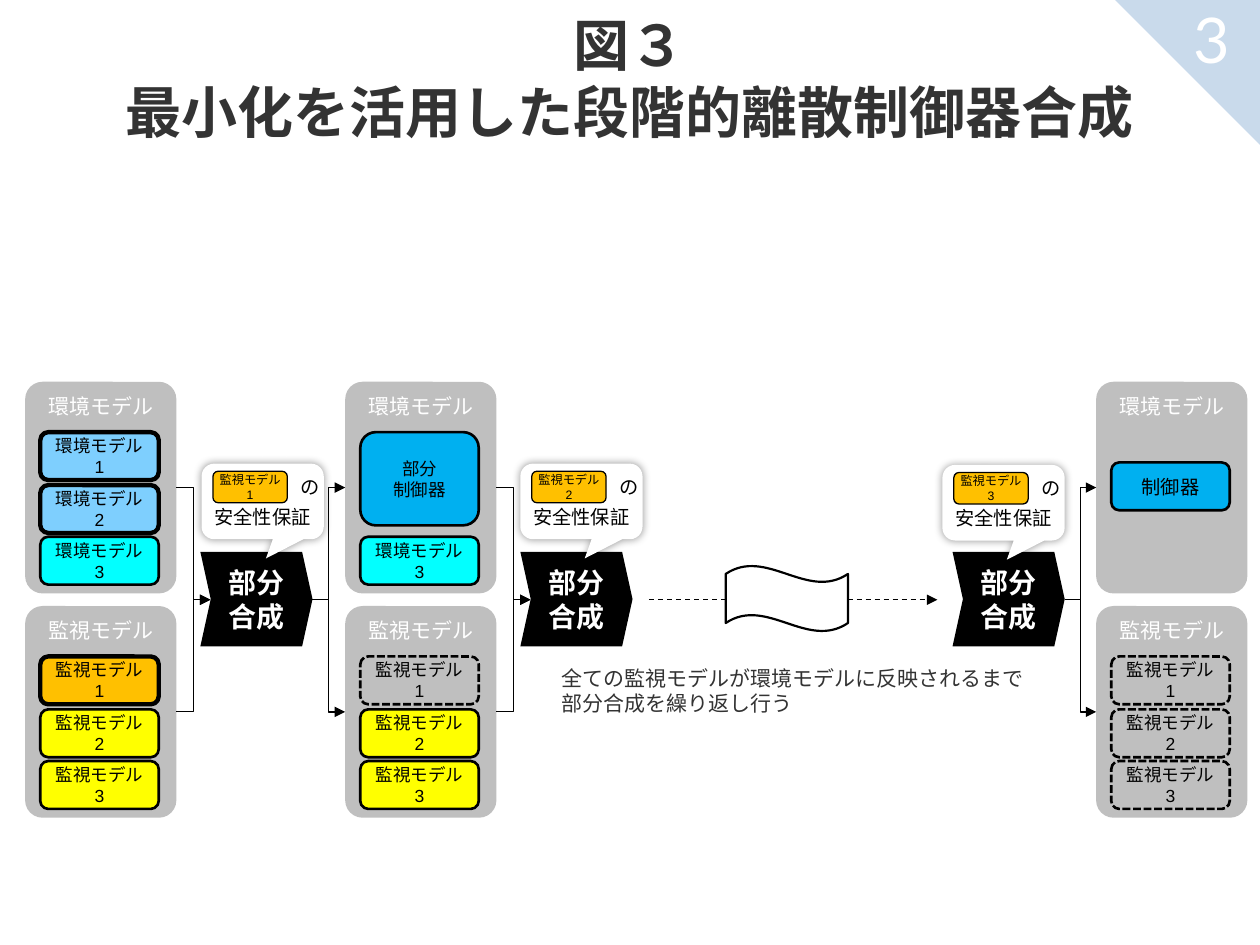
from lxml import etree
from pptx import Presentation
from pptx.dml.color import RGBColor
from pptx.enum.dml import MSO_LINE_DASH_STYLE as Dash
from pptx.enum.shapes import MSO_CONNECTOR as Connector, MSO_SHAPE as Shape
from pptx.enum.text import MSO_ANCHOR as Anchor, PP_ALIGN as Align
from pptx.oxml import parse_xml
from pptx.oxml.ns import nsdecls, qn
from pptx.util import Inches, Pt

BLACK = RGBColor(0x00, 0x00, 0x00)
WHITE = RGBColor(0xFF, 0xFF, 0xFF)
DARK = RGBColor(0x33, 0x33, 0x33)
GRAY = RGBColor(0xBF, 0xBF, 0xBF)
CORNER = RGBColor(0xC9, 0xDA, 0xEB)
LIGHT_BLUE = RGBColor(0x7E, 0xCF, 0xFE)
BLUE = RGBColor(0x00, 0xB0, 0xF0)
CYAN = RGBColor(0x02, 0xFF, 0xFF)
ORANGE = RGBColor(0xFF, 0xC0, 0x00)
YELLOW = RGBColor(0xFF, 0xFF, 0x00)

ENVIRONMENT, MONITOR = "環境モデル", "監視モデル"
ENVIRONMENT_TOP, MONITOR_TOP = 3.03, 4.81
PANEL_WIDTH, PANEL_HEIGHT = 1.2, 1.68
BOX_WIDTH, BOX_HEIGHT = 0.94, 0.38
ROWS = (0.4, 0.82, 1.23)
STEP_WIDTH, STEP_MIDDLE = 0.89, 4.76
PANEL_MIDDLES = [top + PANEL_HEIGHT / 2 for top in (ENVIRONMENT_TOP, MONITOR_TOP)]

SOFT_SHADOW = (
    f'<a:effectLst {nsdecls("a")}><a:outerShdw blurRad="63500" dist="0" dir="0">'
    '<a:srgbClr val="000000"><a:alpha val="40000"/></a:srgbClr>'
    "</a:outerShdw></a:effectLst>"
)


class Diagram:
    def __init__(self, slide, font="Arial"):
        self.slide = slide
        self.font = font

    def label(self, shape, text, size, color=BLACK, bold=False, align=Align.CENTER,
              anchor=Anchor.MIDDLE, font=None):
        """Fill a shape with text; \\n starts a paragraph, \\v breaks a line."""
        frame = shape.text_frame
        frame.word_wrap = True
        frame.vertical_anchor = anchor
        frame.text = text
        for paragraph in frame.paragraphs:
            paragraph.alignment = align
            paragraph.font.name = font or self.font
            paragraph.font.size = Pt(size)
            paragraph.font.bold = bold
            paragraph.font.color.rgb = color
        return frame

    def shape(self, kind, left, top, width, height, fill=None, line=None, dash=None,
              adjust=()):
        shape = self.slide.shapes.add_shape(
            kind, Inches(left), Inches(top), Inches(width), Inches(height))
        shape.shadow.inherit = False
        if fill is None:
            shape.fill.background()
        else:
            shape.fill.solid()
            shape.fill.fore_color.rgb = fill
        if line is None:
            shape.line.fill.background()
        else:
            shape.line.color.rgb = BLACK
            shape.line.width = Pt(line)
            if dash:
                shape.line.dash_style = dash
        for index, value in enumerate(adjust):
            shape.adjustments[index] = value
        return shape

    def text(self, left, top, width, height, text, size, inset=None, **style):
        box = self.slide.shapes.add_textbox(
            Inches(left), Inches(top), Inches(width), Inches(height))
        frame = self.label(box, text, size, **style)
        if inset is not None:
            frame.margin_top = frame.margin_bottom = Inches(inset)

    def panel(self, left, top, title):
        panel = self.shape(Shape.ROUNDED_RECTANGLE, left, top, PANEL_WIDTH, PANEL_HEIGHT,
                           GRAY, adjust=[0.115])
        self.label(panel, title, 12, WHITE, anchor=Anchor.TOP)

    def box(self, left, top, text, fill, line=1.5, dash=None, height=BOX_HEIGHT, size=10):
        box = self.shape(Shape.ROUNDED_RECTANGLE, left, top, BOX_WIDTH, height,
                         fill, line, dash)
        self.label(box, text, size)

    def step(self, left):
        step = self.shape(Shape.CHEVRON, left, 4.38, STEP_WIDTH, 0.75, BLACK, adjust=[0.11])
        self.label(step, "部分\n合成", 16, WHITE, bold=True)

    def callout(self, left, top, number):
        callout = self.shape(Shape.ROUNDED_RECTANGULAR_CALLOUT, left, top, 0.97, 0.6, WHITE,
                             adjust=[0.027, 0.754, 0.167])
        properties = callout._element.spPr
        properties.replace(properties.find(qn("a:effectLst")), parse_xml(SOFT_SHADOW))
        frame = self.label(callout, "の\n安全性保証", 11)
        frame.margin_left = frame.margin_right = 0
        first, second = frame.paragraphs
        first.alignment = Align.RIGHT
        second.space_before = Pt(4)
        tag = self.shape(Shape.ROUNDED_RECTANGLE, left + 0.09, top + 0.06, 0.59, 0.25,
                         ORANGE, 0.75)
        frame = self.label(tag, f"{MONITOR}\v{number}", 7)
        frame.margin_left = frame.margin_right = 0

    def arrow(self, kind, start, end, dash=None):
        points = [Inches(value) for value in (*start, *end)]
        arrow = self.slide.shapes.add_connector(kind, *points)
        arrow.line.color.rgb = BLACK
        arrow.line.width = Pt(0.75)
        if dash:
            arrow.line.dash_style = dash
        properties = arrow._element.spPr
        etree.SubElement(properties.find(qn("a:ln")), qn("a:tailEnd"), type="triangle")
        etree.SubElement(properties, qn("a:effectLst"))

    def merge(self, panel_left, step_left):
        for middle in PANEL_MIDDLES:
            self.arrow(Connector.ELBOW, (panel_left + PANEL_WIDTH, middle),
                       (step_left + 0.08, STEP_MIDDLE))

    def split(self, step_left, panel_left):
        for middle in PANEL_MIDDLES:
            self.arrow(Connector.ELBOW, (step_left + STEP_WIDTH, STEP_MIDDLE),
                       (panel_left, middle))


def main():
    presentation = Presentation()
    presentation.slide_width, presentation.slide_height = Inches(10), Inches(7.5)
    diagram = Diagram(presentation.slides.add_slide(presentation.slide_layouts[6]))

    corner = diagram.shape(Shape.RIGHT_TRIANGLE, 8.83, -0.02, 1.18, 1.18, CORNER)
    corner.rotation = 180
    diagram.text(9.19, -0.1, 0.85, 0.75, "3", 36, inset=0.1, color=WHITE,
                 anchor=Anchor.TOP, font="Lato")
    diagram.text(0, 0, 10, 1.25, "図３\v最小化を活用した段階的離散制御器合成", 32, inset=0.1,
                 color=DARK, bold=True, anchor=Anchor.BOTTOM, font="Calibri")

    first, second, last = panel_lefts = (0.2, 2.74, 8.7)
    step_lefts = (1.59, 4.13, 7.56)
    for left in panel_lefts:
        diagram.panel(left, ENVIRONMENT_TOP, ENVIRONMENT)
        diagram.panel(left, MONITOR_TOP, MONITOR)
    for left in step_lefts:
        diagram.step(left)

    # (panel left, panel top, label, number, fill, line width); no fill means dashed
    boxes = [
        (first, ENVIRONMENT_TOP, ENVIRONMENT, 1, LIGHT_BLUE, 2.5),
        (first, ENVIRONMENT_TOP, ENVIRONMENT, 2, LIGHT_BLUE, 2.5),
        (first, ENVIRONMENT_TOP, ENVIRONMENT, 3, CYAN, 1.5),
        (first, MONITOR_TOP, MONITOR, 1, ORANGE, 2.5),
        (first, MONITOR_TOP, MONITOR, 2, YELLOW, 1.5),
        (first, MONITOR_TOP, MONITOR, 3, YELLOW, 1.5),
        (second, ENVIRONMENT_TOP, ENVIRONMENT, 3, CYAN, 1.5),
        (second, MONITOR_TOP, MONITOR, 1, None, 1.5),
        (second, MONITOR_TOP, MONITOR, 2, YELLOW, 1.5),
        (second, MONITOR_TOP, MONITOR, 3, YELLOW, 1.5),
        (last, MONITOR_TOP, MONITOR, 1, None, 1.5),
        (last, MONITOR_TOP, MONITOR, 2, None, 1.5),
        (last, MONITOR_TOP, MONITOR, 3, None, 1.5),
    ]
    for left, top, label, number, fill, line in boxes:
        diagram.box(left + 0.12, top + ROWS[number - 1], f"{label}{number}", fill, line,
                    dash=None if fill else Dash.SQUARE_DOT)
    diagram.box(second + 0.12, 3.43, "部分\v制御器", BLUE, height=0.74)
    diagram.box(last + 0.12, 3.67, "制御器", BLUE, size=11)

    diagram.merge(first, step_lefts[0])
    diagram.split(step_lefts[0], second)
    diagram.merge(second, step_lefts[1])
    diagram.split(step_lefts[2], last)

    diagram.arrow(Connector.STRAIGHT, (5.15, STEP_MIDDLE), (7.44, STEP_MIDDLE), Dash.DASH)
    diagram.shape(Shape.WAVE, 5.76, 4.49, 0.97, 0.52, WHITE, 1.25)
    diagram.text(4.36, 5.23, 4.04, 0.5,
                 "全ての監視モデルが環境モデルに反映されるまで\v部分合成を繰り返し行う", 12,
                 color=DARK, align=Align.LEFT, anchor=Anchor.TOP)

    for number, (left, top) in enumerate([(1.6, 3.68), (4.13, 3.68), (7.48, 3.69)], 1):
        diagram.callout(left, top, number)

    presentation.save("out.pptx")


if __name__ == "__main__":
    main()
